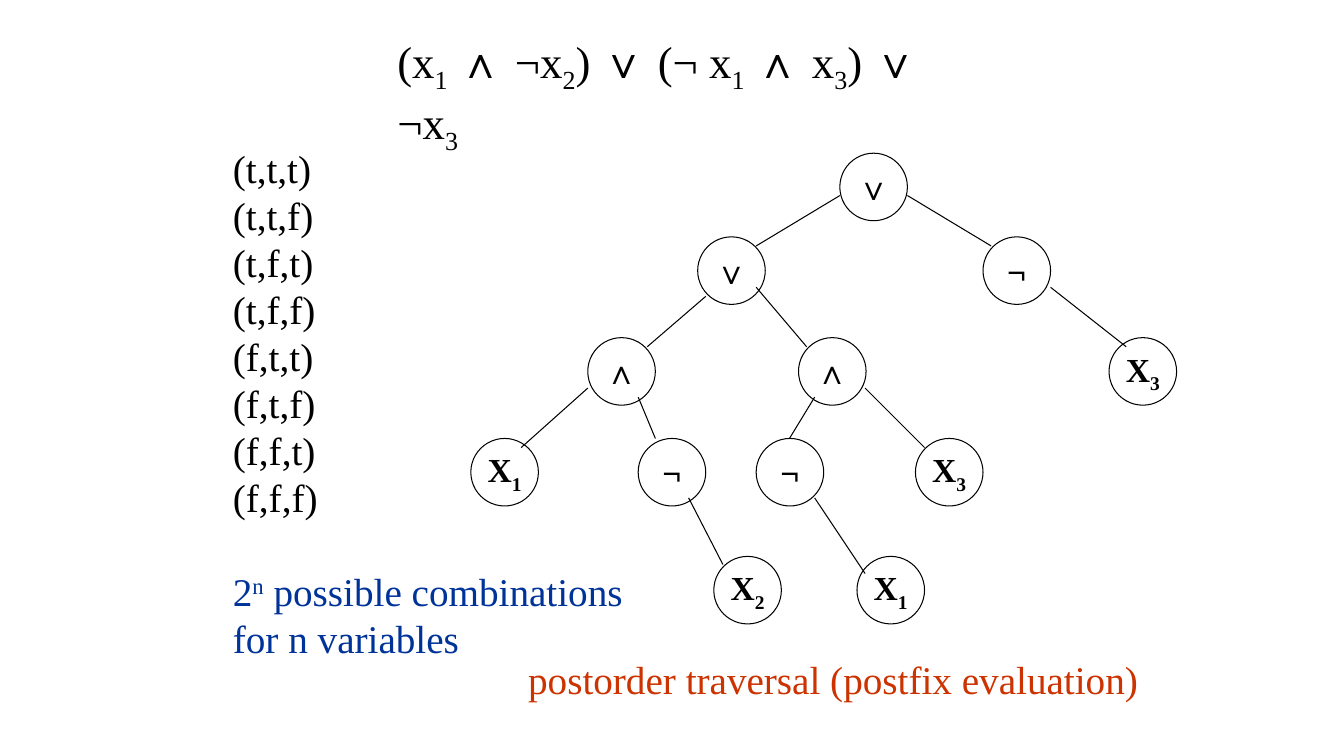
from dataclasses import dataclass

import lxml.etree
import pptx
import pptx.dml.color
import pptx.enum.shapes
import pptx.enum.text
import pptx.oxml.ns
import pptx.util

SCALE = 9144
SIZE = 67
FONT = "Times New Roman"
COLORS = {"ink": "000000", "blue": "003399", "red": "CC3300"}
ALIGN = pptx.enum.text.PP_ALIGN
ANCHOR = pptx.enum.text.MSO_ANCHOR


@dataclass(frozen=True)
class Bit:
    text: str
    base: int = 0


@dataclass(frozen=True)
class Node:
    left: int
    top: int
    text: str
    sub: str = ""


@dataclass(frozen=True)
class Edge:
    x1: int
    y1: int
    x2: int
    y2: int


NODES = [
    Node(833, 152, "∨"),
    Node(975, 235, "¬"),
    Node(692, 235, "∨"),
    Node(792, 335, "∧"),
    Node(583, 335, "∧"),
    Node(908, 435, "X", "3"),
    Node(750, 435, "¬"),
    Node(633, 435, "¬"),
    Node(467, 435, "X", "1"),
    Node(708, 552, "X", "2"),
    Node(850, 552, "X", "1"),
    Node(1100, 335, "X", "3"),
]
EDGES = [
    Edge(833, 194, 750, 244),
    Edge(700, 294, 642, 344),
    Edge(583, 385, 517, 444),
    Edge(633, 394, 650, 435),
    Edge(683, 494, 717, 560),
    Edge(808, 494, 858, 569),
    Edge(808, 394, 783, 435),
    Edge(858, 385, 917, 444),
    Edge(750, 285, 800, 344),
    Edge(900, 194, 983, 244),
    Edge(1042, 285, 1117, 344),
]
TITLE = [
    Bit("(x"), Bit("1", -25), Bit(" ∧ ¬x"), Bit("2", -25),
    Bit(") ∨ (¬ x"), Bit("1", -25), Bit(" ∧ x"), Bit("3", -25),
    Bit(") ∨ ¬x"), Bit("3", -25),
]
CASES = [f"({a},{b},{c})" for a in "tf" for b in "tf" for c in "tf"]
COUNT = [
    [Bit("2"), Bit("n", 30), Bit(" possible combinations")],
    [Bit("for n variables")],
]


def px(value: int) -> pptx.util.Emu:
    return pptx.util.Emu(value * SCALE)


def paint(color: str) -> pptx.dml.color.RGBColor:
    return pptx.dml.color.RGBColor.from_string(COLORS[color])


def place(shape, left: int, top: int, width: int, height: int) -> None:
    shape.left, shape.top = px(left), px(top)
    shape.width, shape.height = px(width), px(height)


def set_frame(frame, anchor, wrap: bool) -> None:
    frame.auto_size = pptx.enum.text.MSO_AUTO_SIZE.NONE
    frame.vertical_anchor = anchor
    frame.word_wrap = wrap


def write(para, bits: list[Bit], size: int, color: str = "ink",
          bold: bool = False, align=ALIGN.LEFT) -> None:
    para.alignment = align
    for bit in bits:
        run = para.add_run()
        run.text = bit.text
        font = run.font
        font.name, font.size, font.bold = FONT, pptx.util.Pt(size), bold
        font.color.rgb = paint(color)
        if bit.base:
            run._r.get_or_add_rPr().set("baseline", str(bit.base * 1000))


def draw_node(slide, node: Node) -> None:
    shape = slide.shapes.add_shape(
        pptx.enum.shapes.MSO_SHAPE.OVAL,
        px(node.left), px(node.top), px(SIZE), px(SIZE))
    shape.shadow.inherit = False
    shape.fill.background()
    shape.line.color.rgb = paint("ink")
    shape.line.width = pptx.util.Pt(0.75)
    set_frame(shape.text_frame, ANCHOR.MIDDLE, False)
    bits = [Bit(node.text)] + ([Bit(node.sub, -25)] if node.sub else [])
    write(shape.text_frame.paragraphs[0], bits, 24, bold=True, align=ALIGN.CENTER)


def draw_edge(slide, edge: Edge) -> None:
    line = slide.shapes.add_connector(
        pptx.enum.shapes.MSO_CONNECTOR.STRAIGHT,
        px(edge.x1), px(edge.y1), px(edge.x2), px(edge.y2))
    line.line.color.rgb = paint("ink")
    line.line.width = pptx.util.Pt(0.75)
    lxml.etree.SubElement(line._element.spPr, pptx.oxml.ns.qn("a:effectLst"))


def draw_title(slide) -> None:
    title = slide.shapes.title
    place(title, 384, 28, 551, 64)
    set_frame(title.text_frame, ANCHOR.TOP, True)
    write(title.text_frame.paragraphs[0], TITLE, 32)


def draw_list(slide) -> None:
    body = slide.placeholders[1]
    place(body, 221, 138, 409, 524)
    frame = body.text_frame
    set_frame(frame, ANCHOR.TOP, True)
    rows = [([Bit(case)], "ink") for case in CASES]
    rows += [(bits, "blue") for bits in COUNT]
    pitch = pptx.util.Pt(33.6)
    for index, (bits, color) in enumerate(rows):
        para = frame.add_paragraph() if index else frame.paragraphs[0]
        props = para._p.get_or_add_pPr()
        props.set("marL", "0")
        props.set("indent", "0")
        lxml.etree.SubElement(props, pptx.oxml.ns.qn("a:buNone"))
        para.line_spacing = pitch
        para.space_before = pitch if index == len(CASES) else pptx.util.Pt(0)
        write(para, bits, 28, color)


def draw_note(slide) -> None:
    note = slide.shapes.add_textbox(px(514), px(645), px(626), px(57))
    set_frame(note.text_frame, ANCHOR.TOP, False)
    text = "postorder traversal (postfix evaluation)"
    write(note.text_frame.paragraphs[0], [Bit(text)], 28, "red")


def main() -> None:
    deck = pptx.Presentation()
    deck.slide_width, deck.slide_height = px(1333), px(750)
    slide = deck.slides.add_slide(deck.slide_layouts[1])
    for node in NODES:
        draw_node(slide, node)
    for edge in EDGES:
        draw_edge(slide, edge)
    draw_title(slide)
    draw_list(slide)
    draw_note(slide)
    deck.save("out.pptx")


if __name__ == "__main__":
    main()
